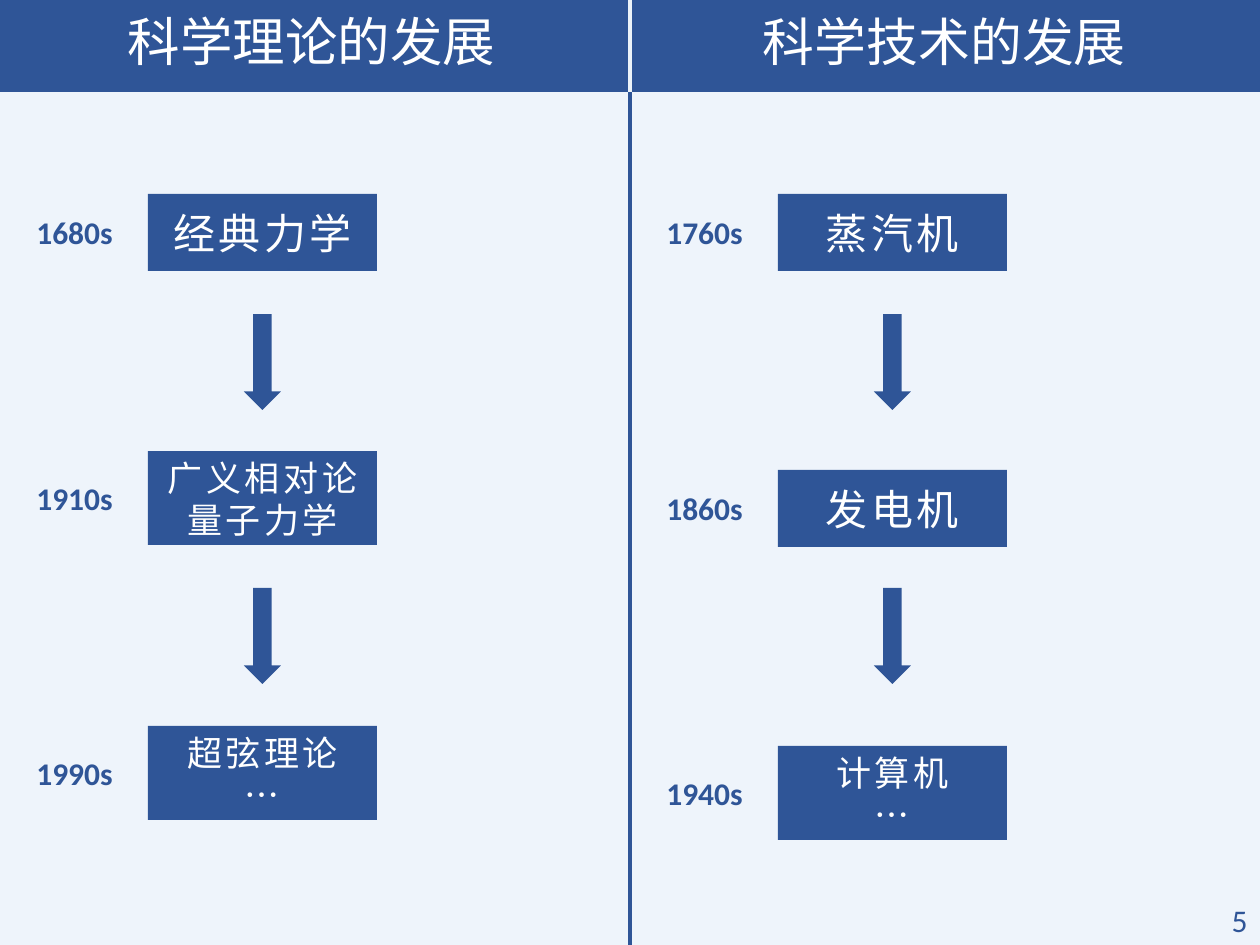
from dataclasses import dataclass

from lxml import etree
from pptx import Presentation
from pptx.dml.color import RGBColor
from pptx.enum.shapes import MSO_CONNECTOR, MSO_SHAPE
from pptx.enum.text import MSO_ANCHOR, PP_ALIGN
from pptx.oxml.ns import qn
from pptx.util import Pt

LINE = MSO_CONNECTOR.STRAIGHT
RECT, DOWN_ARROW = MSO_SHAPE.RECTANGLE, MSO_SHAPE.DOWN_ARROW
LEFT, CENTER, RIGHT = PP_ALIGN.LEFT, PP_ALIGN.CENTER, PP_ALIGN.RIGHT
TOP, MIDDLE = MSO_ANCHOR.TOP, MSO_ANCHOR.MIDDLE

EMU_PER_PX = 914400 / 126
SLIDE_W, SLIDE_H = 1260, 945
COLUMN_W = SLIDE_W // 2
HEADER_H = 92


@dataclass(frozen=True)
class Theme:
    blue: RGBColor = RGBColor.from_string("2F5597")
    background: RGBColor = RGBColor.from_string("EEF4FB")
    header_rule: RGBColor = RGBColor.from_string("ECF3F9")
    white: RGBColor = RGBColor.from_string("FFFFFF")
    title_font: str = "Times New Roman"
    label_font: str = "Calibri"
    chinese_font: str = "Noto Sans CJK SC"
    title_size: float = 30
    step_size: float = 24
    small_step_size: float = 20
    label_size: float = 18
    rule_width: float = 2.25


THEME = Theme()

# Each step: decade, lines of the box, top of the box
THEORY = [
    ("1680s", ["经典力学"], 194),
    ("1910s", ["广义相对论", "量子力学"], 451),
    ("1990s", ["超弦理论", "…"], 726),
]
TECHNOLOGY = [
    ("1760s", ["蒸汽机"], 194),
    ("1860s", ["发电机"], 470),
    ("1940s", ["计算机", "…"], 746),
]
ARROW_TOPS = [314, 588]


def px(value):
    return round(value * EMU_PER_PX)


def write(shape, lines, size, font, color, align=CENTER, anchor=MIDDLE,
          bold=False, tracking=0, line_spacing=None, wrap=True):
    """Fill a shape with one paragraph per line; tracking is in points."""
    frame = shape.text_frame
    frame.word_wrap = wrap
    frame.vertical_anchor = anchor
    for index, line in enumerate(lines):
        paragraph = frame.paragraphs[0] if index == 0 else frame.add_paragraph()
        paragraph.alignment = align
        if line_spacing:
            paragraph.line_spacing = line_spacing
        run = paragraph.add_run()
        run.text = line
        run.font.size = Pt(size)
        run.font.bold = bold
        run.font.color.rgb = color
        run.font.name = font
        properties = run.font._element
        east_asian = etree.SubElement(properties, qn("a:ea"))
        east_asian.set("typeface", THEME.chinese_font)
        if tracking:
            properties.set("spc", str(tracking * 100))


def add_text(slide, left, top, width, height, lines, **text_format):
    box = slide.shapes.add_textbox(px(left), px(top), px(width), px(height))
    write(box, lines, **text_format)
    return box


def add_block(slide, preset, left, top, width, height):
    """Add a plain blue shape without outline or shadow."""
    block = slide.shapes.add_shape(preset, px(left), px(top), px(width), px(height))
    block.shadow.inherit = False
    block.fill.solid()
    block.fill.fore_color.rgb = THEME.blue
    block.line.fill.background()
    return block


def add_divider(slide, x, bottom, color):
    rule = slide.shapes.add_connector(LINE, px(x), 0, px(x), px(bottom))
    rule.line.color.rgb = color
    rule.line.width = Pt(THEME.rule_width)
    etree.SubElement(rule._element.spPr, qn("a:effectLst"))


def add_frame(slide):
    """Draw the background, header band, dividers and page number."""
    slide.background.fill.solid()
    slide.background.fill.fore_color.rgb = THEME.background
    add_block(slide, RECT, 0, 0, SLIDE_W, HEADER_H)
    add_text(slide, SLIDE_W - 126, 895, 126, 50, ["5"], size=THEME.label_size,
             font=THEME.label_font, color=THEME.blue, align=RIGHT, anchor=TOP)
    add_divider(slide, COLUMN_W, SLIDE_H, THEME.blue)
    add_divider(slide, COLUMN_W, HEADER_H, THEME.header_rule)


def add_step(slide, left, top, decade, lines):
    """Draw a decade label beside its box, centred on each other."""
    single = len(lines) == 1
    height = 77 if single else 94
    label_h = 50
    step = add_block(slide, RECT, left + 148, top, 229, height)
    write(step, lines, size=THEME.step_size if single else THEME.small_step_size,
          font=THEME.chinese_font, color=THEME.white, tracking=2)
    add_text(slide, left + 24, top + (height - label_h) // 2, 123, label_h, [decade],
             size=THEME.label_size, font=THEME.label_font, color=THEME.blue,
             align=LEFT, anchor=TOP, bold=True)


def add_timeline(slide, left, title, title_left, title_size, steps):
    """Draw one column: header title, steps and the arrows between them."""
    heading = add_text(slide, left + title_left, 9, 607, 71, [title], size=title_size,
                       font=THEME.title_font, color=THEME.white, line_spacing=0.9)
    heading.text_frame.margin_left = heading.text_frame.margin_right = 0
    for decade, lines, top in steps:
        add_step(slide, left, top, decade, lines)
    for top in ARROW_TOPS:
        add_block(slide, DOWN_ARROW, left + 244, top, 37, 96)


def main():
    presentation = Presentation()
    presentation.slide_width = px(SLIDE_W)
    presentation.slide_height = px(SLIDE_H)
    slide = presentation.slides.add_slide(presentation.slide_layouts[6])
    add_frame(slide)
    add_timeline(slide, 0, "科学理论的发展", 8, THEME.title_size, THEORY)
    add_timeline(slide, COLUMN_W, "科学技术的发展", 11, THEME.title_size - 0.4, TECHNOLOGY)
    presentation.save("out.pptx")


if __name__ == "__main__":
    main()
